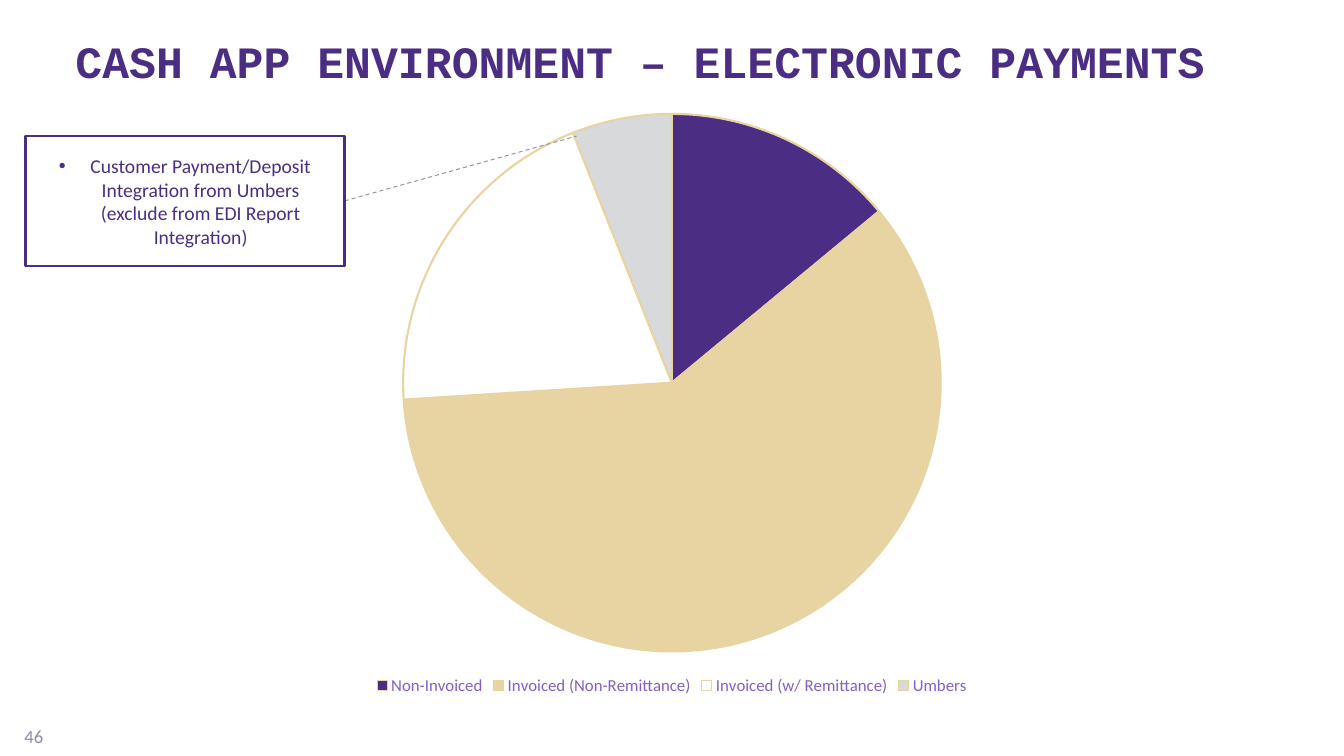
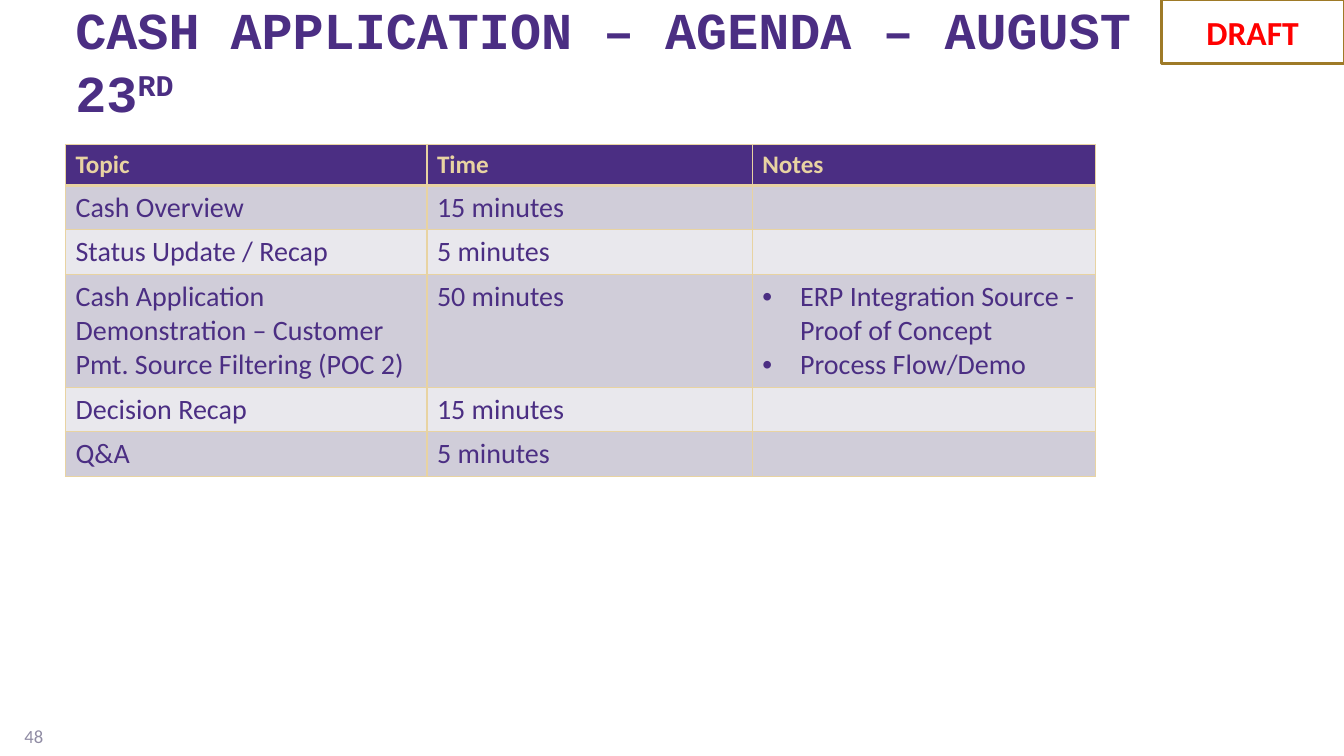
from dataclasses import dataclass

from lxml import etree
from pptx import Presentation
from pptx.chart import data as chart_data
from pptx.dml.color import RGBColor
from pptx.enum import chart as charts, dml, shapes, text
from pptx.oxml import ns, xmlchemy
from pptx.util import Pt


@dataclass(frozen=True)
class Theme:
    body_font: str = "Calibri"
    title_font: str = "Courier New"
    purple: RGBColor = RGBColor(0x4B, 0x2E, 0x83)
    lilac: RGBColor = RGBColor(0x82, 0x5F, 0xC7)
    sand: RGBColor = RGBColor(0xE8, 0xD3, 0xA2)
    bronze: RGBColor = RGBColor(0x9E, 0x7A, 0x27)
    white: RGBColor = RGBColor(0xFF, 0xFF, 0xFF)
    silver: RGBColor = RGBColor(0xD8, 0xD9, 0xDA)
    gray: RGBColor = RGBColor(0x99, 0x99, 0x99)
    muted: RGBColor = RGBColor(0x90, 0x8C, 0xA4)
    red: RGBColor = RGBColor(0xFF, 0x00, 0x00)
    band_dark: RGBColor = RGBColor(0xD0, 0xCD, 0xD9)
    band_light: RGBColor = RGBColor(0xE9, 0xE8, 0xED)
    payments_title_size: float = 32
    agenda_title_size: float = 37
    number_size: float = 13.3
    chart_size: float = 10
    legend_size: float = 12
    callout_size: float = 14
    header_size: float = 18
    cell_size: float = 20
    draft_size: float = 24


theme = Theme()


def write(text_frame, content, size, color, bold=False, align=None, font=theme.body_font, bullet_indent=None):
    """Fill a text frame, one paragraph per line; bullet_indent adds hanging bullets."""
    text_frame.text = content
    text_frame.word_wrap = True
    for paragraph in text_frame.paragraphs:
        paragraph.alignment = align
        if bullet_indent:
            properties = paragraph._p.get_or_add_pPr()
            properties.set("marL", str(Pt(bullet_indent)))
            properties.set("indent", str(Pt(-bullet_indent)))
            etree.SubElement(properties, ns.qn("a:buFont"), typeface="Arial")
            etree.SubElement(properties, ns.qn("a:buChar"), char="•")
        for run in paragraph.runs:
            run.font.name = font
            run.font.size = Pt(size)
            run.font.bold = bold
            run.font.color.rgb = color


def add_framed_box(slide, left, top, width, height, line_color):
    box = slide.shapes.add_shape(shapes.MSO_SHAPE.RECTANGLE, Pt(left), Pt(top), Pt(width), Pt(height))
    box.shadow.inherit = False
    box.fill.solid()
    box.fill.fore_color.rgb = theme.white
    box.line.color.rgb = line_color
    box.line.width = Pt(2)
    box.text_frame.vertical_anchor = text.MSO_ANCHOR.MIDDLE
    return box


presentation = Presentation()
presentation.slide_width = Pt(960)
presentation.slide_height = Pt(540)

# Title and page number on every slide
slides = []
titles = []
for title, title_size, number in (
    ("CASH APP ENVIRONMENT – ELECTRONIC PAYMENTS", theme.payments_title_size, "46"),
    ("CASH APPLICATION – AGENDA – AUGUST 23", theme.agenda_title_size, "48"),
):
    slide = presentation.slides.add_slide(presentation.slide_layouts[6])
    number_box = slide.shapes.add_textbox(Pt(0), Pt(511), Pt(38), Pt(29))
    number_box.text_frame.vertical_anchor = text.MSO_ANCHOR.MIDDLE
    write(number_box.text_frame, number, theme.number_size, theme.muted, align=text.PP_ALIGN.RIGHT)
    title_box = slide.shapes.add_textbox(Pt(46.8), Pt(19.4), Pt(858), Pt(45.4))
    title_frame = title_box.text_frame
    title_frame.vertical_anchor = text.MSO_ANCHOR.MIDDLE
    title_frame.margin_top, title_frame.margin_bottom = Pt(2), Pt(0)
    write(title_frame, title, title_size, theme.purple, bold=True, font=theme.title_font)
    slides.append(slide)
    titles.append(title_frame.paragraphs[0])
payments_slide, agenda_slide = slides

# Electronic payments: pie with a callout
payments = chart_data.CategoryChartData()
payments.categories = ["Non-Invoiced", "Invoiced (Non-Remittance)", "Invoiced (w/ Remittance)", "Umbers"]
payments.add_series("Series 1", (14, 60, 20, 6))
pie = payments_slide.shapes.add_chart(
    charts.XL_CHART_TYPE.PIE, Pt(160), Pt(72.7), Pt(640), Pt(427), payments
).chart
pie.has_title = False
pie.font.name = theme.body_font
pie.font.size = Pt(theme.chart_size)
pie.font.color.rgb = theme.purple
pie.has_legend = True
pie.legend.position = charts.XL_LEGEND_POSITION.BOTTOM
pie.legend.include_in_layout = False
pie.legend.font.name = theme.body_font
pie.legend.font.size = Pt(theme.legend_size)
pie.legend.font.color.rgb = theme.lilac
pie.plots[0].vary_by_categories = True
for index, color in enumerate((theme.purple, theme.sand, theme.white, theme.silver)):
    point_format = pie.plots[0].series[0].points[index].format
    point_format.fill.solid()
    point_format.fill.fore_color.rgb = color
    point_format.line.color.rgb = theme.sand
    point_format.line.width = Pt(1.5)

plot_area = pie._chartSpace.find(".//" + ns.qn("c:plotArea"))
for layout in plot_area.findall(ns.qn("c:layout")):
    plot_area.remove(layout)
layout = xmlchemy.OxmlElement("c:layout")
plot_area.insert(0, layout)
manual_layout = etree.SubElement(layout, ns.qn("c:manualLayout"))
for tag, value in (
    ("layoutTarget", "inner"), ("xMode", "edge"), ("yMode", "edge"),
    ("x", "0.2"), ("y", "0.02"), ("w", "0.6"), ("h", "0.9"),
):
    etree.SubElement(manual_layout, ns.qn("c:" + tag), val=value)

leader = payments_slide.shapes.add_connector(
    shapes.MSO_CONNECTOR.STRAIGHT, Pt(246.2), Pt(143.5), Pt(411.8), Pt(97.2)
)
leader.line.color.rgb = theme.gray
leader.line.width = Pt(0.75)
leader.line.dash_style = dml.MSO_LINE.DASH
etree.SubElement(leader._element.spPr, ns.qn("a:effectLst"))

callout = add_framed_box(payments_slide, 18, 97.2, 228.2, 92.8, theme.purple)
write(
    callout.text_frame,
    "Customer Payment/Deposit Integration from Umbers (exclude from EDI Report Integration)",
    theme.callout_size, theme.purple, align=text.PP_ALIGN.CENTER, bullet_indent=22.5,
)

# Agenda: ordinal suffix, draft stamp and table
suffix = titles[1].add_run()
suffix.text = "RD"
suffix.font.name = theme.title_font
suffix.font.size = Pt(theme.agenda_title_size)
suffix.font.bold = True
suffix.font.color.rgb = theme.purple
suffix._r.get_or_add_rPr().set("baseline", "30000")

stamp = add_framed_box(agenda_slide, 829.5, 0, 130.5, 45.4, theme.bronze)
write(stamp.text_frame, "DRAFT", theme.draft_size, theme.red, bold=True, align=text.PP_ALIGN.CENTER)

agenda = (
    ("Topic", "Time", "Notes"),
    ("Cash Overview", "15 minutes", ""),
    ("Status Update / Recap", "5 minutes", ""),
    (
        "Cash Application Demonstration – Customer Pmt. Source Filtering (POC 2)",
        "50 minutes",
        "ERP Integration Source - Proof of Concept\nProcess Flow/Demo",
    ),
    ("Decision Recap", "15 minutes", ""),
    ("Q&A", "5 minutes", ""),
)
column_widths = (258.2, 232.3, 245.5)
row_heights = (29.2, 31.8, 31.8, 80.7, 31.8, 31.8)
table = agenda_slide.shapes.add_table(
    len(agenda), len(column_widths), Pt(46.8), Pt(103.2),
    Pt(sum(column_widths)), Pt(sum(row_heights)),
).table
for column, width in zip(table.columns, column_widths):
    column.width = Pt(width)
for row_index, entries in enumerate(agenda):
    is_header = row_index == 0
    table.rows[row_index].height = Pt(row_heights[row_index])
    for column_index, entry in enumerate(entries):
        cell = table.cell(row_index, column_index)
        if is_header:
            write(cell.text_frame, entry, theme.header_size, theme.sand, bold=True)
            fill_color = theme.purple
        else:
            indent = 27 if column_index == 2 and entry else None
            write(cell.text_frame, entry, theme.cell_size, theme.purple, bullet_indent=indent)
            fill_color = theme.band_dark if row_index % 2 else theme.band_light
        properties = cell._tc.get_or_add_tcPr()
        for side in ("lnL", "lnR", "lnT", "lnB"):
            thick = (row_index, side) in ((0, "lnB"), (1, "lnT"))
            border = etree.SubElement(properties, ns.qn("a:" + side), w=str(Pt(3 if thick else 1)))
            border_fill = etree.SubElement(border, ns.qn("a:solidFill"))
            etree.SubElement(border_fill, ns.qn("a:srgbClr"), val=str(theme.sand))
        cell.fill.solid()
        cell.fill.fore_color.rgb = fill_color

presentation.save("out.pptx")
